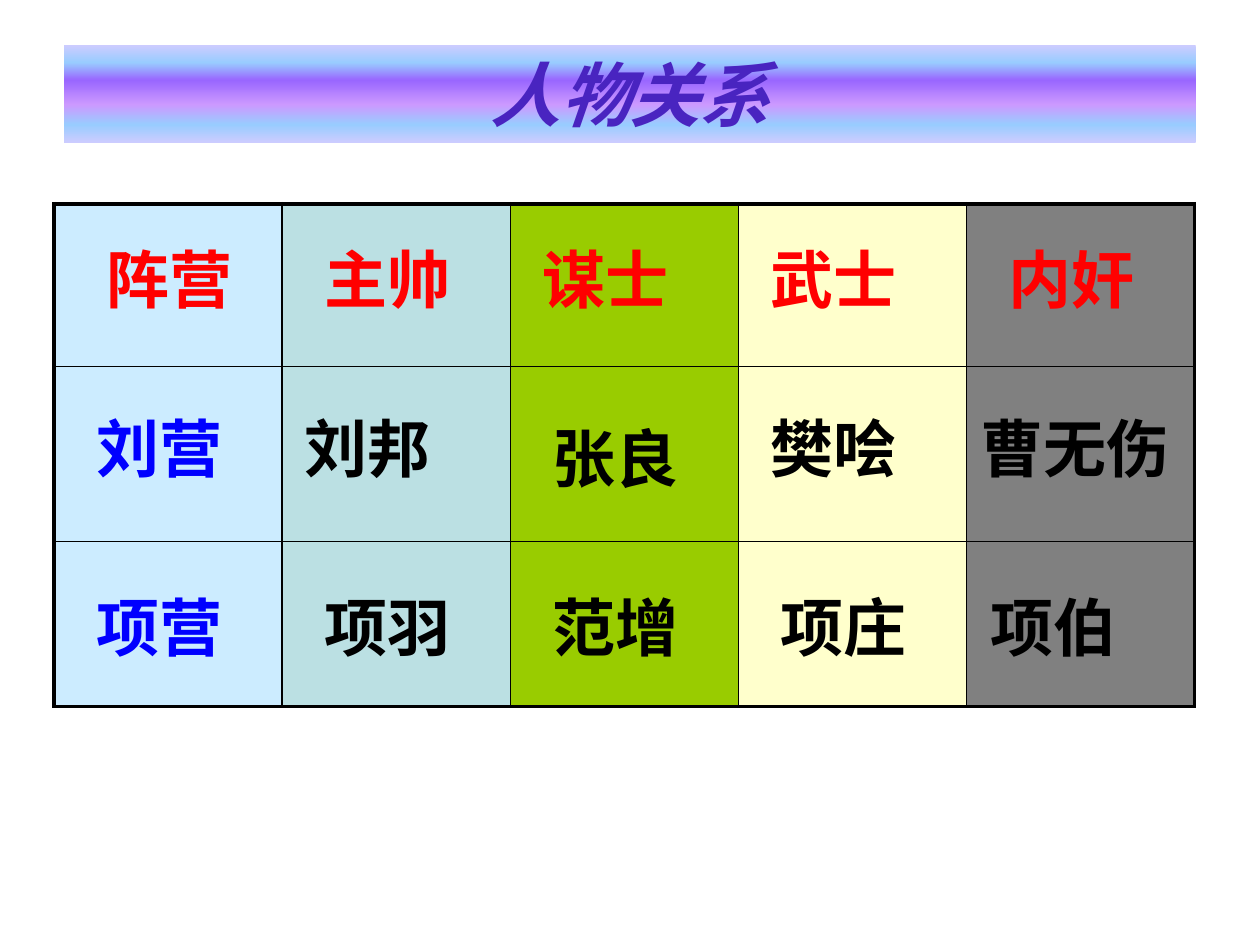
"""Build a slide with a table of the characters in the two camps."""
from lxml import etree
from pptx import Presentation
from pptx.dml.color import RGBColor
from pptx.enum.shapes import MSO_SHAPE as Shape
from pptx.enum.text import MSO_ANCHOR as Anchor, MSO_AUTO_SIZE as Fit, PP_ALIGN as Align
from pptx.oxml.ns import qn
from pptx.util import Inches, Pt

BLACK = RGBColor(0x00, 0x00, 0x00)
RED = RGBColor(0xFF, 0x00, 0x00)
BLUE = RGBColor(0x00, 0x00, 0xFF)
VIOLET = RGBColor(0x49, 0x24, 0xC0)
LILAC = RGBColor(0xCC, 0xCC, 0xFF)
SKY = RGBColor(0x99, 0xCC, 0xFF)
PURPLE = RGBColor(0x99, 0x66, 0xFF)
PINK = RGBColor(0xCC, 0x99, 0xFF)
FILLS = [
    RGBColor(0xCC, 0xEC, 0xFF),
    RGBColor(0xBB, 0xE0, 0xE3),
    RGBColor(0x99, 0xCC, 0x00),
    RGBColor(0xFF, 0xFF, 0xCC),
    RGBColor(0x80, 0x80, 0x80),
]
STOPS = [(0, LILAC), (18, SKY), (36, PURPLE), (61, PINK), (82, SKY), (100, LILAC)]
WIDTH = 1.81
ROWS = [1.29, 1.39, 1.31]
LABELS = [
    ("阵营", 0.75, 1.86, 1.5, RED),
    ("主帅", 2.48, 1.86, 1.58, RED),
    ("谋士", 4.21, 1.86, 1.58, RED),
    ("武士", 6.02, 1.86, 1.5, RED),
    ("内奸", 7.91, 1.86, 1.5, RED),
    ("刘营", 0.67, 3.2, 1.42, BLUE),
    ("刘邦", 2.32, 3.2, 1.58, BLACK),
    ("张良", 4.29, 3.28, 1.42, BLACK),
    ("樊哙", 6.02, 3.2, 1.25, BLACK),
    ("曹无伤", 7.68, 3.2, 1.84, BLACK),
    ("项营", 0.67, 4.62, 1.33, BLUE),
    ("项羽", 2.48, 4.62, 1.42, BLACK),
    ("范增", 4.29, 4.62, 1.25, BLACK),
    ("项庄", 6.1, 4.62, 1.33, BLACK),
    ("项伯", 7.76, 4.62, 1.58, BLACK),
]


def write(frame, text, size, color):
    frame.word_wrap = True
    frame.auto_size = Fit.SHAPE_TO_FIT_TEXT
    frame.vertical_anchor = Anchor.TOP
    run = frame.paragraphs[0].add_run()
    run.text = text
    run.font.name = "Times New Roman"
    run.font.size = Pt(size)
    run.font.bold = True
    run.font.color.rgb = color
    return run


def tint(parent, color):
    etree.SubElement(parent, qn("a:srgbClr"), val=str(color))


deck = Presentation()
deck.slide_width, deck.slide_height = Inches(10), Inches(7.5)
slide = deck.slides.add_slide(deck.slide_layouts[6])

frame = slide.shapes.add_table(
    len(ROWS), len(FILLS), Inches(0.43), Inches(1.62),
    Inches(WIDTH * len(FILLS)), Inches(sum(ROWS)),
)
table = frame.table
for col in table.columns:
    col.width = Inches(WIDTH)
for r, height in enumerate(ROWS):
    table.rows[r].height = Inches(height)
    for c, color in enumerate(FILLS):
        cell = table.cell(r, c)
        props = cell._tc.get_or_add_tcPr()
        edges = {
            "a:lnL": 2.25 if c == 0 else 1,
            "a:lnR": 2.25 if c == len(FILLS) - 1 else 1,
            "a:lnT": 3 if r == 0 else 1,
            "a:lnB": 2.25 if r == len(ROWS) - 1 else 1,
        }
        for tag, size in edges.items():
            line = etree.SubElement(props, qn(tag), w=str(Pt(size)))
            tint(etree.SubElement(line, qn("a:solidFill")), BLACK)
        cell.fill.solid()
        cell.fill.fore_color.rgb = color

banner = slide.shapes.add_shape(
    Shape.RECTANGLE, Inches(0.51), Inches(0.36), Inches(8.98), Inches(0.77)
)
banner.shadow.inherit = False
banner.line.fill.background()
banner.fill.gradient()
banner.fill.gradient_angle = 270
stops = banner._element.spPr.find(qn("a:gradFill")).find(qn("a:gsLst"))
for old in list(stops):
    stops.remove(old)
for pos, color in STOPS:
    tint(etree.SubElement(stops, qn("a:gs"), pos=str(pos * 1000)), color)
title = write(banner.text_frame, "人物关系", 40, VIOLET)
title.font.italic = True
banner.text_frame.paragraphs[0].alignment = Align.CENTER

for text, left, top, width, color in LABELS:
    box = slide.shapes.add_textbox(Inches(left), Inches(top), Inches(width), Inches(0.7))
    write(box.text_frame, text, 36, color)

deck.save("out.pptx")
